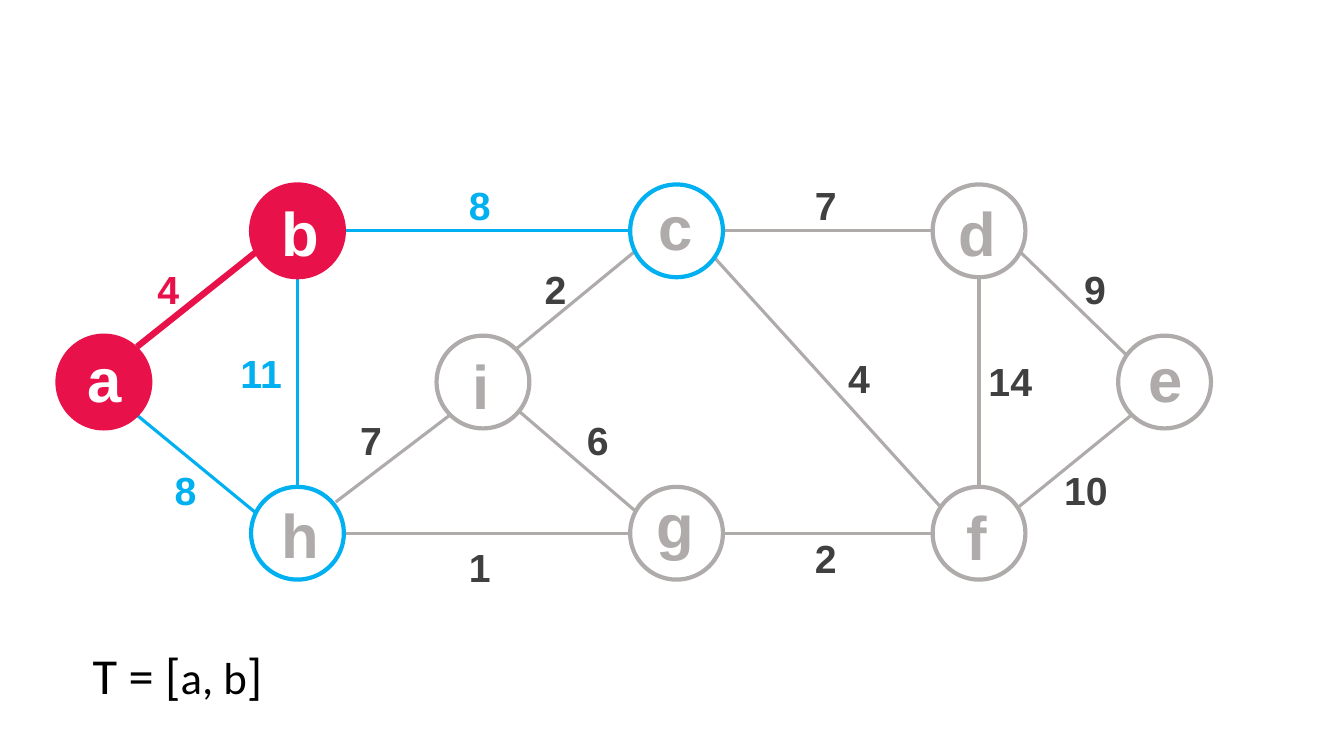
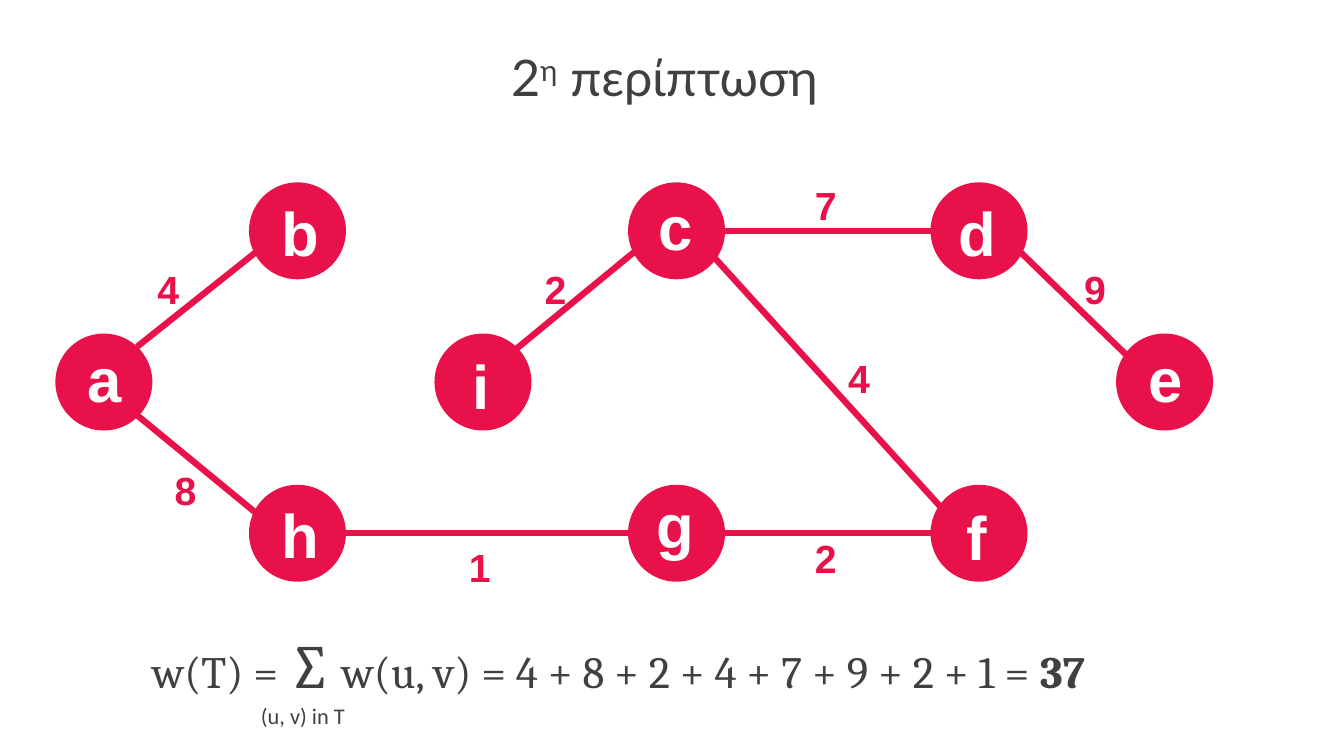
"""Two slides following Prim's algorithm on a weighted graph."""
import dataclasses
import typing

import pptx
import pptx.dml.color
import pptx.enum.shapes
import pptx.enum.text
import pptx.oxml
import pptx.oxml.ns
import pptx.oxml.xmlchemy
import pptx.presentation
import pptx.slide
import pptx.text.text
import pptx.util

Inches = pptx.util.Inches
Pt = pptx.util.Pt

COLORS = {
    "tree": "E91149",
    "frontier": "00B0F0",
    "idle": "AFABAB",
    "ink": "404040",
    "white": "FFFFFF",
    "black": "000000",
}
TOP, MIDDLE, BOTTOM = (1.83 + 1.5 * row for row in range(3))
DIAMETER = 0.92
TREE_LINE, EDGE_LINE, NODE_LINE = 4.5, 2.25, 3


@dataclasses.dataclass(frozen=True)
class Node:
    """A circle with the offset of its letter."""
    name: str
    left: float
    top: float
    dx: float
    dy: float


@dataclasses.dataclass(frozen=True)
class Edge:
    """A weighted line between two nodes with the place of its weight."""
    ends: str
    weight: int
    start: tuple[float, float]
    stop: tuple[float, float]
    label: tuple[float, float]


@dataclasses.dataclass(frozen=True)
class Run:
    """A piece of text with its own size and emphasis."""
    text: str
    size: float
    bold: bool = False
    raised: bool = False


NODES = [
    Node("a", 0.57, MIDDLE, 0.2, 0),
    Node("b", 2.49, TOP, 0.2, 0.05),
    Node("c", 6.25, TOP, 0.18, 0),
    Node("d", 9.25, TOP, 0.16, 0.05),
    Node("e", 11.09, MIDDLE, 0.2, 0),
    Node("f", 9.25, BOTTOM, 0.24, 0.07),
    Node("g", 6.25, BOTTOM, 0.16, -0.05),
    Node("h", 2.49, BOTTOM, 0.2, 0.05),
    Node("i", 4.33, MIDDLE, 0.26, 0.07),
]
EDGES = [
    Edge("ab", 4, (1.36, 3.44), (2.54, 2.5), (1.32, 2.58)),
    Edge("ah", 8, (1.36, 4.12), (2.54, 5.09), (1.49, 4.58)),
    Edge("bh", 11, (2.95, 4.83), (2.95, 2.75), (2.24, 3.42)),
    Edge("bc", 8, (3.41, 2.29), (6.25, 2.29), (4.41, 1.75)),
    Edge("hg", 1, (3.41, 5.29), (6.25, 5.29), (4.41, 5.34)),
    Edge("hi", 7, (3.33, 4.98), (4.46, 4.12), (3.33, 4.08)),
    Edge("ig", 6, (6.29, 5.06), (5.16, 4.09), (5.58, 4.08)),
    Edge("ic", 2, (5.11, 3.47), (6.29, 2.5), (5.16, 2.58)),
    Edge("cf", 4, (7.09, 2.56), (9.33, 5.03), (8.17, 3.47)),
    Edge("df", 14, (9.71, 4.83), (9.71, 2.75), (9.67, 3.5)),
    Edge("cd", 7, (7.17, 2.29), (9.25, 2.29), (7.84, 1.75)),
    Edge("gf", 2, (7.17, 5.29), (9.25, 5.29), (7.84, 5.25)),
    Edge("de", 9, (10.12, 2.5), (11.17, 3.52), (10.51, 2.58)),
    Edge("ef", 10, (10.09, 5.04), (11.22, 4.12), (10.42, 4.58)),
]
FULL_TREE = {"ab", "ah", "hg", "gf", "cf", "ic", "cd", "de"}


def rgb(name: str) -> pptx.dml.color.RGBColor:
    """Return a named colour."""
    return pptx.dml.color.RGBColor.from_string(COLORS[name])


def add_text(s: pptx.slide.Slide, box: tuple[float, float, float, float],
             runs: typing.Sequence[Run], font: str, color: str,
             wrap: bool = False, centered: bool = False) -> None:
    """Add a one-paragraph text box."""
    tf = s.shapes.add_textbox(*map(Inches, box)).text_frame
    tf.word_wrap = wrap
    tf.auto_size = pptx.enum.text.MSO_AUTO_SIZE.SHAPE_TO_FIT_TEXT
    p = tf.paragraphs[0]
    if centered:
        p.alignment = pptx.enum.text.PP_ALIGN.CENTER
    p.font.name = font
    p.font.color.rgb = rgb(color)
    for run in runs:
        r = p.add_run()
        r.text = run.text
        r.font.size = Pt(run.size)
        r.font.bold = run.bold
        if run.raised:
            r._r.get_or_add_rPr().set("baseline", "30000")


def add_edge(s: pptx.slide.Slide, edge: Edge, state: str) -> None:
    """Draw an edge and its weight in the colour of its state."""
    sp = s.shapes.add_connector(pptx.enum.shapes.MSO_CONNECTOR.STRAIGHT,
                                *map(Inches, edge.start + edge.stop))
    sp.line.color.rgb = rgb(state)
    sp.line.width = Pt(TREE_LINE if state == "tree" else EDGE_LINE)
    effects = pptx.oxml.xmlchemy.OxmlElement("a:effectLst")
    sp.element.spPr.append(effects)
    add_text(s, (*edge.label, 0.7, 0.57), [Run(str(edge.weight), 28, True)],
             "Arial", "ink" if state == "idle" else state, True, True)


def add_node(s: pptx.slide.Slide, node: Node, state: str) -> None:
    """Draw a node and its letter in the colours of its state."""
    sp = s.shapes.add_shape(
        pptx.enum.shapes.MSO_SHAPE.OVAL,
        *map(Inches, (node.left, node.top, DIAMETER, DIAMETER)))
    sp.shadow.inherit = False
    sp.line.color.rgb = rgb(state)
    sp.line.width = Pt(NODE_LINE)
    if state == "tree":
        sp.fill.solid()
        sp.fill.fore_color.rgb = rgb("tree")
    else:
        sp.fill.background()
    add_text(s, (node.left + node.dx, node.top + node.dy, 0.5, 0.83),
             [Run(node.name, 44, True)], "Arial",
             "white" if state == "tree" else "idle", True)


def add_graph(s: pptx.slide.Slide, tree: set[str], tree_only: bool) -> None:
    """Draw the graph, deriving every state from the edges of the tree."""
    reached = set("".join(tree))
    frontier: set[str] = set()
    for edge in EDGES:
        outside = set(edge.ends) - reached
        if edge.ends in tree:
            state = "tree"
        elif len(outside) == 1:
            state = "frontier"
            frontier |= outside
        else:
            state = "idle"
        if state == "tree" or not tree_only:
            add_edge(s, edge, state)
    for node in NODES:
        state = ("tree" if node.name in reached
                 else "frontier" if node.name in frontier else "idle")
        add_node(s, node, state)


def add_blank(prs: pptx.presentation.Presentation) -> pptx.slide.Slide:
    """Add a slide with the blank layout."""
    return prs.slides.add_slide(prs.slide_layouts[6])


def build_step(prs: pptx.presentation.Presentation) -> None:
    """Build the slide after the first chosen edge."""
    s = add_blank(prs)
    add_graph(s, {"ab"}, False)
    add_text(s, (0.82, 6.34, 2.41, 0.73),
             [Run("T = [", 36), Run("a, b", 32), Run("]", 36)],
             "Calibri", "black")


def build_result(prs: pptx.presentation.Presentation) -> None:
    """Build the slide with the full tree and its weight."""
    s = add_blank(prs)
    add_graph(s, FULL_TREE, True)
    add_text(s, (4.97, 0.41, 3.28, 0.7),
             [Run("2", 36), Run("η", 36, raised=True), Run(" περίπτωση", 36)],
             "Lato", "ink")
    add_text(s, (1.41, 6.17, 10.34, 0.83),
             [Run("w(T) = ", 32), Run("∑", 44),
              Run(" w(u, v) = 4 + 8 + 2 + 4 + 7 + 9 + 2 + 1 = ", 32),
              Run("37", 32, True)],
             "Cambria", "ink")
    add_text(s, (2.49, 6.92, 1.3, 0.38), [Run("(u, v) in T", 16)],
             "Calibri", "ink")


def main() -> None:
    """Build and save the presentation."""
    prs = pptx.Presentation()
    prs.slide_width = Inches(13.33)
    prs.slide_height = Inches(7.5)
    build_step(prs)
    build_result(prs)
    prs.save("out.pptx")


if __name__ == "__main__":
    main()
